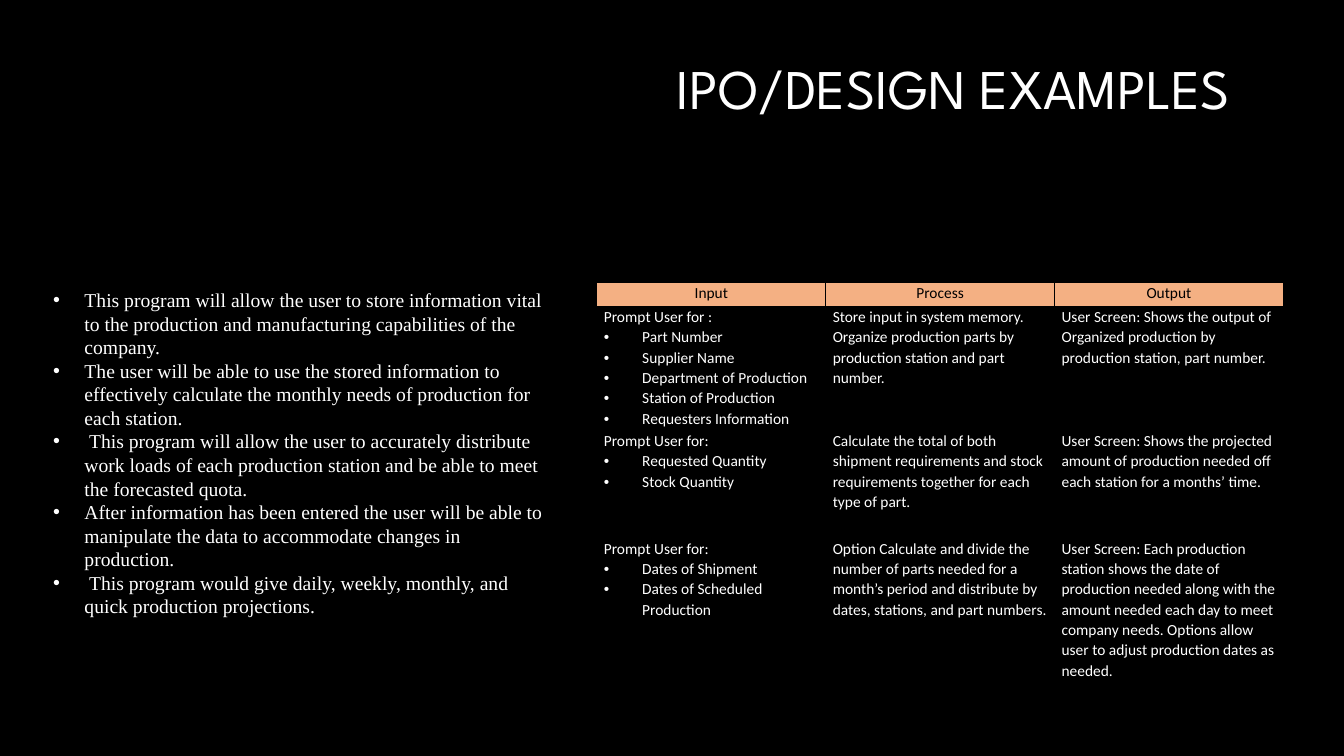
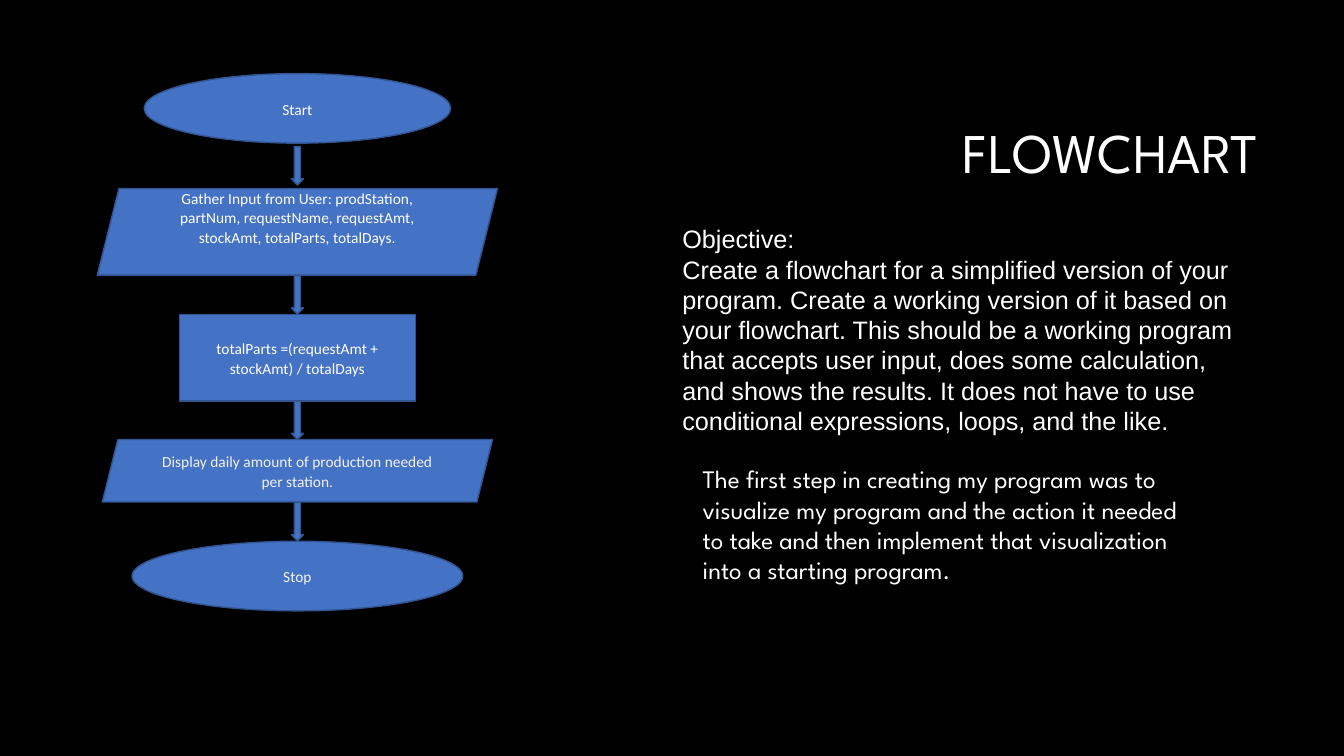
from dataclasses import dataclass
from itertools import pairwise
from typing import Iterable

from lxml.etree import SubElement
from pptx import Presentation
from pptx.dml.color import RGBColor
from pptx.enum.shapes import MSO_SHAPE as Shape
from pptx.enum.text import MSO_ANCHOR as Anchor, PP_ALIGN as Align
from pptx.oxml.ns import qn
from pptx.util import Inches, Pt

BLACK = RGBColor(0x00, 0x00, 0x00)
WHITE = RGBColor(0xFF, 0xFF, 0xFF)
PALE = RGBColor(0xF2, 0xF2, 0xF2)
PEACH = RGBColor(0xF4, 0xB0, 0x83)
BLUE = RGBColor(0x44, 0x72, 0xC4)
NAVY = RGBColor(0x32, 0x54, 0x91)

DISPLAY = "League Spartan"
BODY = "Calibri"
FLOW_CENTER = 2.95
ARROW_WIDTH, ARROW_HEIGHT = 0.12, 0.38


@dataclass(frozen=True)
class Bullet:
    text: str
    indent: float = 0.38


@dataclass(frozen=True)
class Step:
    text: str
    outline: Shape
    top: float
    width: float
    height: float
    color: RGBColor = WHITE
    bottom_inset: float = 0.05


def write(frame, lines: Iterable[str | Bullet], *, size: float, font: str = BODY,
          color: RGBColor = WHITE, align: Align = Align.LEFT,
          spacing: float = 1.0, after: float = 0) -> None:
    frame.word_wrap = True
    for index, line in enumerate(lines):
        paragraph = frame.paragraphs[0] if index == 0 else frame.add_paragraph()
        paragraph.alignment = align
        paragraph.line_spacing = spacing
        paragraph.space_after = Pt(after)
        text = line
        if isinstance(line, Bullet):
            text = line.text
            properties = paragraph._p.get_or_add_pPr()
            properties.set("marL", str(Inches(line.indent)))
            properties.set("indent", str(-Inches(line.indent)))
            SubElement(properties, qn("a:buFont"), typeface="Arial")
            SubElement(properties, qn("a:buChar"), char="•")
        run = paragraph.add_run()
        run.text = text
        run.font.size = Pt(size)
        run.font.name = font
        run.font.color.rgb = color


def add_text(slide, left: float, top: float, width: float, height: float,
             lines: Iterable[str | Bullet], *, anchor: Anchor = Anchor.TOP,
             **style) -> None:
    frame = slide.shapes.add_textbox(
        Inches(left), Inches(top), Inches(width), Inches(height)).text_frame
    frame.vertical_anchor = anchor
    write(frame, lines, **style)


def add_title(slide, text: str, left: float, top: float) -> None:
    add_text(slide, left, top, 9.42, 1.41, [text], anchor=Anchor.MIDDLE,
             size=40, font=DISPLAY, align=Align.RIGHT, spacing=0.9)


def add_borders(cell) -> None:
    properties = cell._tc.get_or_add_tcPr()
    for index, side in enumerate(("lnL", "lnR", "lnT", "lnB")):
        border = properties.makeelement(qn(f"a:{side}"), {"w": str(Pt(1))})
        fill = SubElement(border, qn("a:solidFill"))
        SubElement(fill, qn("a:srgbClr"), val=str(BLACK))
        properties.insert(index, border)


def add_ipo_table(slide, rows: list[list[list[str | Bullet]]]) -> None:
    heights = [0.24, 1.23, 1.07, 1.44]
    table = slide.shapes.add_table(
        len(rows), len(rows[0]), Inches(5.92), Inches(2.8),
        Inches(6.82), Inches(sum(heights))).table
    for column in table.columns:
        column.width = Inches(2.27)
    for row_index, (row, height) in enumerate(zip(rows, heights)):
        table.rows[row_index].height = Inches(height)
        is_header = row_index == 0
        for column_index, lines in enumerate(row):
            cell = table.cell(row_index, column_index)
            cell.margin_left = cell.margin_right = Inches(0.07)
            cell.margin_top = cell.margin_bottom = 0
            if is_header:
                cell.fill.solid()
                cell.fill.fore_color.rgb = PEACH
            else:
                cell.fill.background()
            add_borders(cell)
            write(cell.text_frame, lines, size=11, spacing=1.07,
                  color=BLACK if is_header else WHITE,
                  align=Align.CENTER if is_header else Align.LEFT)


def add_flow_shape(slide, outline: Shape, top: float, width: float, height: float):
    shape = slide.shapes.add_shape(
        outline, Inches(FLOW_CENTER - width / 2), Inches(top),
        Inches(width), Inches(height))
    shape.shadow.inherit = False
    shape.fill.solid()
    shape.fill.fore_color.rgb = BLUE
    shape.line.color.rgb = NAVY
    shape.line.width = Pt(1)
    return shape


def add_flowchart(slide, steps: list[Step]) -> None:
    for step in steps:
        frame = add_flow_shape(
            slide, step.outline, step.top, step.width, step.height).text_frame
        frame.vertical_anchor = Anchor.MIDDLE
        frame.margin_bottom = Inches(step.bottom_inset)
        write(frame, [step.text], size=11, color=step.color,
              align=Align.CENTER, spacing=1.07, after=8)
    for upper, lower in pairwise(steps):
        middle = (upper.top + upper.height + lower.top) / 2
        add_flow_shape(slide, Shape.DOWN_ARROW, middle - ARROW_HEIGHT / 2,
                       ARROW_WIDTH, ARROW_HEIGHT)


PROGRAM_GOALS = [
    "This program will allow the user to store information vital to the production "
    "and manufacturing capabilities of the company.",
    "The user will be able to use the stored information to effectively calculate "
    "the monthly needs of production for each station.",
    " This program will allow the user to accurately distribute work loads of each "
    "production station and be able to meet the forecasted quota.",
    "After information has been entered the user will be able to manipulate the data "
    "to accommodate changes in production.",
    " This program would give daily, weekly, monthly, and quick production projections.",
]

IPO_ROWS = [
    [["Input"], ["Process"], ["Output"]],
    [
        ["Prompt User for :", Bullet("Part Number"), Bullet("Supplier Name"),
         Bullet("Department of Production"), Bullet("Station of Production"),
         Bullet("Requesters Information")],
        ["Store input in system memory. Organize production parts by production "
         "station and part number."],
        ["User Screen: Shows the output of Organized production by production "
         "station, part number."],
    ],
    [
        ["Prompt User for:", Bullet("Requested Quantity"), Bullet("Stock Quantity")],
        ["Calculate the total of both shipment requirements and stock requirements "
         "together for each type of part."],
        ["User Screen: Shows the projected amount of production needed off each "
         "station for a months’ time."],
    ],
    [
        ["Prompt User for:", Bullet("Dates of Shipment"),
         Bullet("Dates of Scheduled Production")],
        ["Option Calculate and divide the number of parts needed for a month’s period "
         "and distribute by dates, stations, and part numbers."],
        ["User Screen: Each production station shows the date of production needed "
         "along with the amount needed each day to meet company needs. Options allow "
         "user to adjust production dates as needed."],
    ],
]

FLOW_STEPS = [
    Step("Start", Shape.OVAL, 0.73, 3.04, 0.69),
    Step("Gather Input from User: prodStation, partNum, requestName, requestAmt, "
         "stockAmt, totalParts, totalDays.",
         Shape.PARALLELOGRAM, 1.87, 3.97, 0.86, bottom_inset=0.34),
    Step("totalParts =(requestAmt + stockAmt) / totalDays",
         Shape.RECTANGLE, 3.12, 2.34, 0.86),
    Step("Display daily amount of production needed per station.",
         Shape.PARALLELOGRAM, 4.36, 3.87, 0.62, PALE),
    Step("Stop", Shape.OVAL, 5.37, 3.28, 0.69, PALE),
]

OBJECTIVE = [
    "Objective:",
    "Create a flowchart for a simplified version of your program. Create a working "
    "version of it based on your flowchart. This should be a working program that "
    "accepts user input, does some calculation, and shows the results. It does not "
    "have to use conditional expressions, loops, and the like.",
]

FIRST_STEP = (
    "The first step in creating my program was to visualize my program and the action "
    "it needed to take and then implement that visualization into a starting program."
)


def build_ipo_slide(slide) -> None:
    add_title(slide, "IPO/DESIGN EXAMPLES", 2.88, 0.2)
    add_ipo_table(slide, IPO_ROWS)
    add_text(slide, 0.43, 2.81, 5.14, 3.7,
             [Bullet(goal, 0.31) for goal in PROGRAM_GOALS],
             size=14, font="Times New Roman")


def build_flowchart_slide(slide) -> None:
    add_title(slide, "FLOWCHART", 3.16, 0.84)
    add_text(slide, 6.67, 2.17, 5.7, 2.22, OBJECTIVE, size=18, font="Arial")
    add_flowchart(slide, FLOW_STEPS)
    add_text(slide, 6.87, 4.55, 4.95, 1.62, [FIRST_STEP], size=18, font=DISPLAY)


def main() -> None:
    deck = Presentation()
    deck.slide_width, deck.slide_height = Inches(13.33), Inches(7.5)
    backdrop = deck.slide_master.background.fill
    backdrop.solid()
    backdrop.fore_color.rgb = BLACK
    for build in (build_ipo_slide, build_flowchart_slide):
        build(deck.slides.add_slide(deck.slide_layouts[6]))
    deck.save("out.pptx")


if __name__ == "__main__":
    main()
